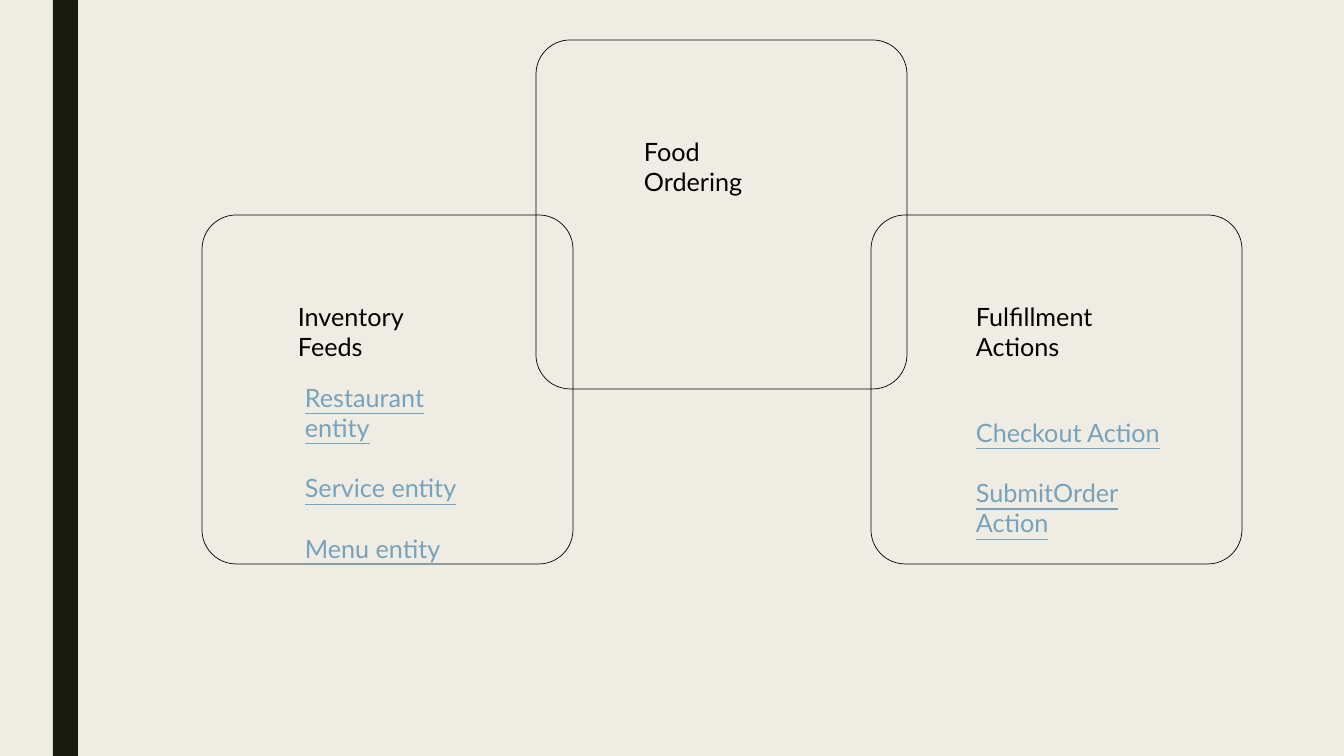
"""Build a slide showing food ordering linked to inventory feeds and fulfillment actions."""
from pptx import Presentation, util as u
from pptx.dml.color import RGBColor
from pptx.enum import shapes, text

SCALE = 12192000 / 1344
INK, LINK = "000000", "77A2BB"


def px(*lengths):
    return [u.Emu(round(length * SCALE)) for length in lengths]


def color(value):
    return RGBColor.from_string(value)


deck = Presentation()
deck.slide_width, deck.slide_height = px(1344, 756)
slide = deck.slides.add_slide(deck.slide_layouts[6])
slide.background.fill.solid()
slide.background.fill.fore_color.rgb = color("EFEDE3")

side_bar = slide.shapes.add_shape(shapes.MSO_SHAPE.RECTANGLE, *px(53, 0, 25, 756))
side_bar.shadow.inherit = False
side_bar.fill.solid()
side_bar.fill.fore_color.rgb = color("191B0E")
side_bar.line.fill.background()

for left, top in [(202, 215), (871, 215), (536, 40)]:
    panel = slide.shapes.add_shape(
        shapes.MSO_SHAPE.ROUNDED_RECTANGLE, *px(left, top, 371, 349))
    panel.adjustments[0] = 0.098
    panel.shadow.inherit = False
    panel.fill.background()
    panel.line.color.rgb = color(INK)
    panel.line.width = u.Pt(0.5)

labels = [
    (634, 131, 171, 70, INK, ["Food Ordering"]),
    (288, 296, 190, 70, INK, ["Inventory Feeds"]),
    (966, 296, 217, 70, INK, ["Fulfillment Actions"]),
    (295, 377, 205, 191, LINK, ["Restaurant entity", "Service entity", "Menu entity"]),
    (966, 412, 228, 131, LINK, ["Checkout Action", "SubmitOrder Action"]),
]
for left, top, width, height, ink, entries in labels:
    frame = slide.shapes.add_textbox(*px(left, top, width, height)).text_frame
    frame.word_wrap = True
    frame.auto_size = text.MSO_AUTO_SIZE.SHAPE_TO_FIT_TEXT
    frame.text = "\n".join(entries)
    for index, paragraph in enumerate(frame.paragraphs):
        if index:
            paragraph.space_before = u.Pt(21.6)
        paragraph.font.name = "Lato"
        paragraph.font.size = u.Pt(18)
        paragraph.font.color.rgb = color(ink)
        paragraph.font.underline = ink == LINK

deck.save("out.pptx")
